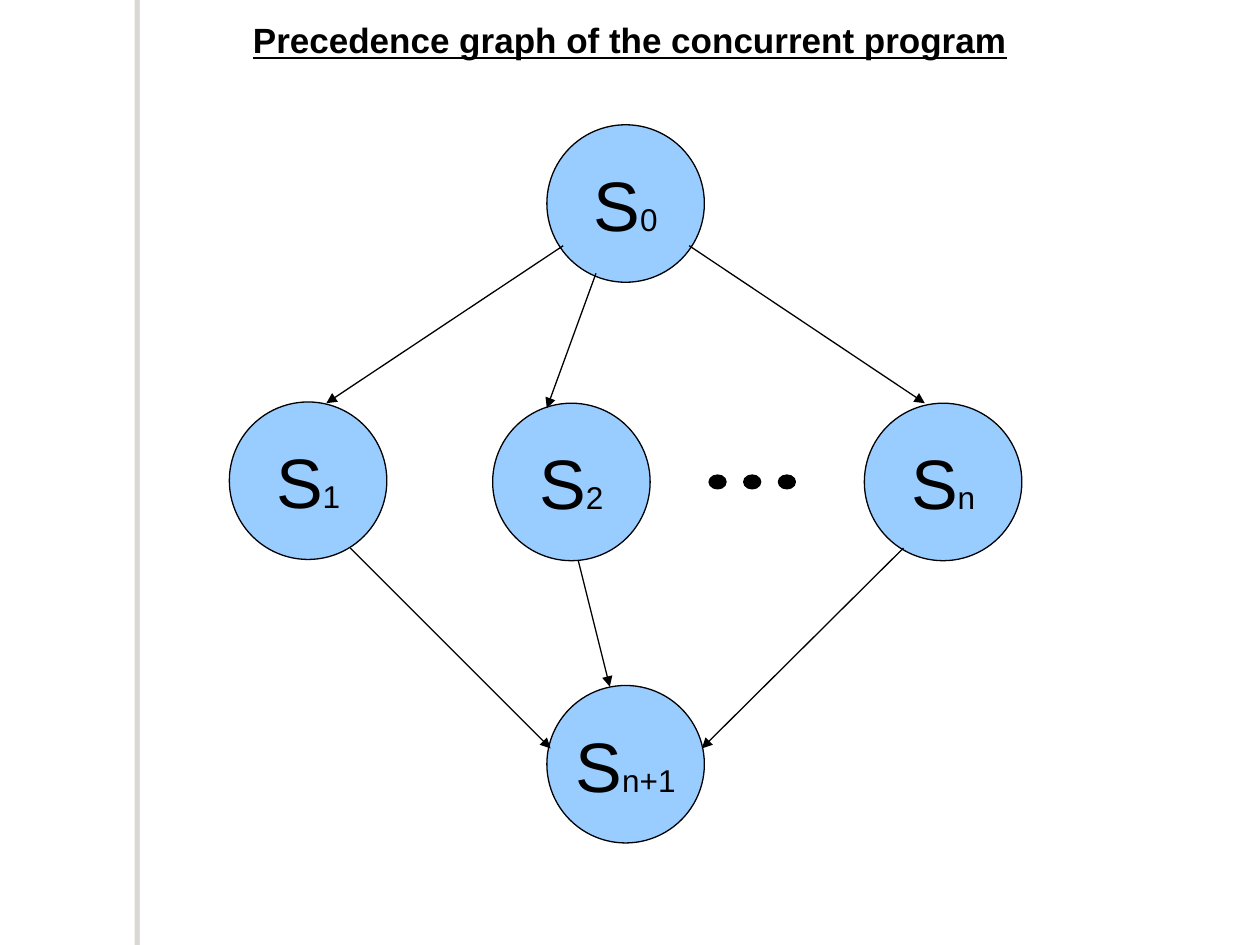
from lxml.etree import SubElement
from pptx import Presentation
from pptx.dml.color import RGBColor
from pptx.enum.shapes import MSO_CONNECTOR, MSO_SHAPE
from pptx.enum.text import MSO_ANCHOR, PP_ALIGN
from pptx.oxml.ns import qn
from pptx.util import Inches, Pt

COLORS = {"paper": "FFFFFF", "ink": "000000", "node": "99CCFF", "shade": "706B5F"}
FONT = "Arial"
COLUMNS, ROWS = 40, 30
NODE_SIZE = 5
MIDDLE_ROW = 15.3

NODES = [
    ("0", 19.86, 6.46),
    ("1", 9.78, 15.26),
    ("2", 18.14, MIDDLE_ROW),
    ("n", 29.94, MIDDLE_ROW),
    ("n+1", 19.86, 24.26),
]
EDGES = [
    ((17.88, 7.8), (10.36, 12.8)),
    ((21.88, 7.8), (29.36, 12.8)),
    ((18.92, 8.68), (17.36, 12.96)),
    ((18.36, 17.8), (19.36, 21.8)),
    ((11.12, 17.4), (17.48, 23.76)),
    ((28.68, 17.4), (22.28, 23.76)),
]


class GraphSlide:
    def __init__(self, prs):
        self.s = prs.slides.add_slide(prs.slide_layouts[6])
        self.col = prs.slide_width / COLUMNS
        self.row = prs.slide_height / ROWS

    def color(self, name):
        return RGBColor.from_string(COLORS[name])

    def box(self, x, y, w, h):
        return [round(v) for v in (x * self.col, y * self.row, w * self.col, h * self.row)]

    def style(self, r, size, bold=False, underline=False):
        r.font.name = FONT
        r.font.size = Pt(size)
        r.font.bold = bold
        r.font.underline = underline
        r.font.color.rgb = self.color("ink")

    def outline(self, line):
        line.color.rgb = self.color("ink")
        line.width = Pt(0.75)

    def strip(self, x, width):
        sp = self.s.shapes.add_shape(MSO_SHAPE.RECTANGLE, *self.box(x, 0, width, ROWS))
        sp.fill.solid()
        sp.fill.fore_color.rgb = self.color("paper")
        sp.line.fill.background()
        sp.shadow.inherit = False
        effects = sp._element.spPr.find(qn("a:effectLst"))
        shadow = SubElement(effects, qn("a:outerShdw"), blurRad="0",
                            dist=str(Pt(3)), dir="10800000", algn="ctr", rotWithShape="0")
        tint = SubElement(shadow, qn("a:srgbClr"), val=COLORS["shade"])
        SubElement(tint, qn("a:alpha"), val="25000")

    def ellipse(self, cx, cy, w, h, fill):
        sp = self.s.shapes.add_shape(MSO_SHAPE.OVAL, *self.box(cx - w / 2, cy - h / 2, w, h))
        sp.shadow.inherit = False
        sp.fill.solid()
        sp.fill.fore_color.rgb = self.color(fill)
        self.outline(sp.line)
        return sp

    def node(self, index, cx, cy):
        tf = self.ellipse(cx, cy, NODE_SIZE, NODE_SIZE, "node").text_frame
        tf.word_wrap = False
        tf.vertical_anchor = MSO_ANCHOR.MIDDLE
        p = tf.paragraphs[0]
        p.alignment = PP_ALIGN.CENTER
        for text, size in (("S", 40), (index, 18)):
            r = p.add_run()
            r.text = text
            self.style(r, size)

    def arrow(self, start, end):
        x1, y1, x2, y2 = self.box(*start, *end)
        cn = self.s.shapes.add_connector(MSO_CONNECTOR.STRAIGHT, x1, y1, x2, y2)
        self.outline(cn.line)
        SubElement(cn.line._get_or_add_ln(), qn("a:tailEnd"), type="triangle")
        SubElement(cn._element.spPr, qn("a:effectLst"))

    def dots(self, cx, cy, step, count):
        for i in range(count):
            self.ellipse(cx + i * step, cy, 0.54, 0.44, "ink")

    def title(self, text, x, y, w, h):
        tf = self.s.shapes.add_textbox(*self.box(x, y, w, h)).text_frame
        tf.word_wrap = True
        p = tf.paragraphs[0]
        p.text = text
        p.alignment = PP_ALIGN.CENTER
        self.style(p.runs[0], 20, bold=True, underline=True)


def main():
    prs = Presentation()
    prs.slide_width = Inches(10)
    prs.slide_height = Inches(7.5)
    graph = GraphSlide(prs)
    graph.strip(4.44, 0.32)
    for node in NODES:
        graph.node(*node)
    for edge in EDGES:
        graph.arrow(*edge)
    graph.dots(22.78, MIDDLE_ROW, 1.1, 3)
    graph.title("Precedence graph of the concurrent program", 1, 0.4, 38, 1.6)
    prs.save("out.pptx")


if __name__ == "__main__":
    main()
